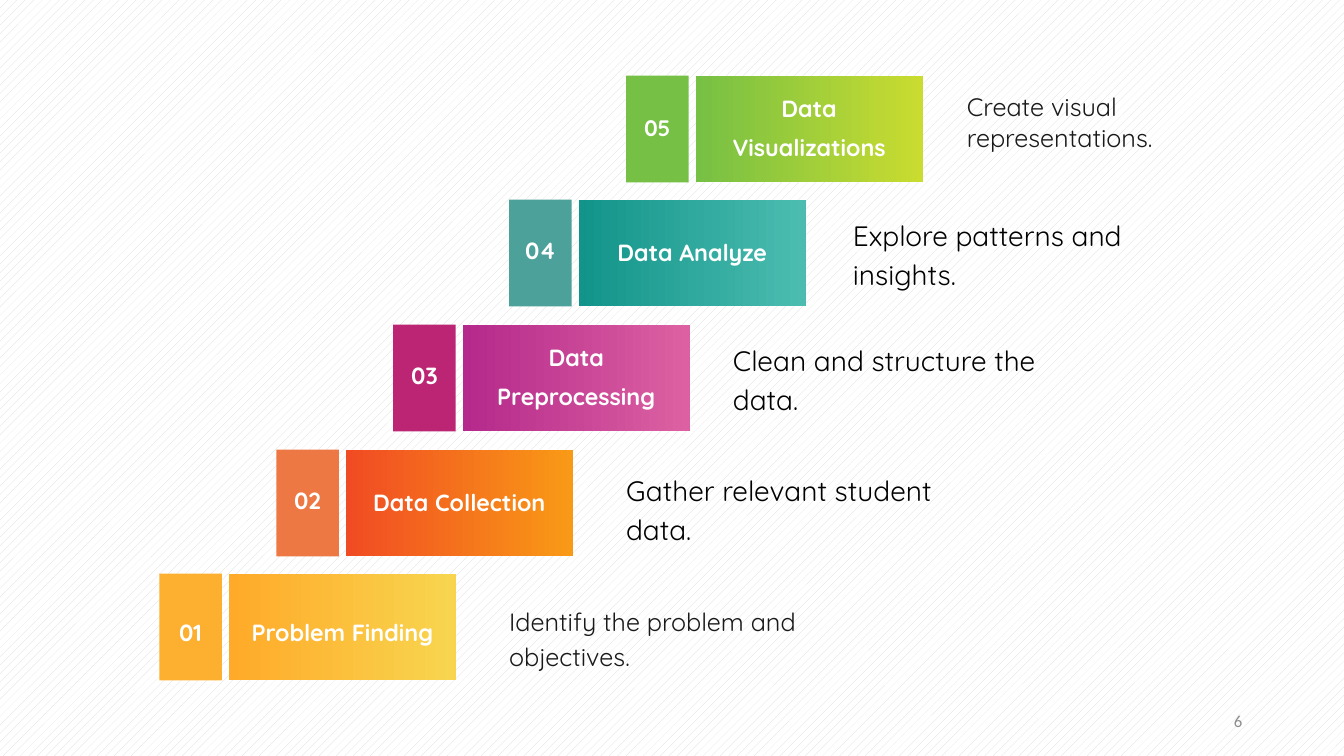
from dataclasses import dataclass

from pptx import Presentation
from pptx.dml.color import RGBColor
from pptx.enum.dml import MSO_PATTERN
from pptx.enum.shapes import MSO_SHAPE
from pptx.enum.text import MSO_ANCHOR, PP_ALIGN
from pptx.shapes.autoshape import Shape
from pptx.slide import Slide
from pptx.util import Emu, Pt

PX = 9144
FONT = "Quicksand"
TAG_W, BAR_W, BAR_H = 62, 225, 106
LEFT, TOP, BAR_DX = 158, 569, 69
STEP_X, STEP_Y = 115.75, 123.5

COLORS = {
    "white": "FFFFFF", "hatch": "D9D9D9", "ink": "191919",
    "black": "000000", "page": "8C8C8C",
    "amber": "FDB02F", "amber from": "FFAA29", "amber to": "F8D54F",
    "orange": "ED7843", "orange from": "F14B23", "orange to": "F99A16",
    "pink": "BC2573", "pink from": "B4298B", "pink to": "DD61A2",
    "teal": "4CA19A", "teal from": "12948A", "teal to": "4CBCB0",
    "green": "76C045", "green from": "76C044", "green to": "CADC30",
}


@dataclass(frozen=True)
class Box:
    x: int
    y: int
    w: int
    h: int

    def emu(self) -> tuple[Emu, Emu, Emu, Emu]:
        return Emu(self.x * PX), Emu(self.y * PX), Emu(self.w * PX), Emu(self.h * PX)


@dataclass(frozen=True)
class Style:
    size: float
    color: str
    font: str = FONT
    bold: bool = False
    align: PP_ALIGN = PP_ALIGN.LEFT
    space: float = 1.0
    anchor: MSO_ANCHOR = MSO_ANCHOR.TOP


@dataclass(frozen=True)
class Step:
    name: str
    hue: str
    note: str
    box: Box
    style: Style
    tag_size: float = 16.7
    bar_lift: int = 13
    tag_lift: int = 16


SMALL = Style(18, "ink", space=1.15)
LARGE = Style(20, "black", space=1.15)

STEPS = [
    Step("Problem Finding", "amber", "Identify the problem and objectives.",
         Box(505, 597, 307, 70), SMALL, bar_lift=0, tag_lift=0),
    Step("Data Collection", "orange", "Gather relevant student data.",
         Box(621, 465, 307, 77), LARGE),
    Step("Data Preprocessing", "pink", "Clean and structure the data.",
         Box(727, 336, 307, 77), LARGE),
    Step("Data Analyze", "teal", "Explore patterns and insights.",
         Box(846, 212, 307, 77), LARGE),
    Step("Data Visualizations", "green", "Create visual representations.",
         Box(959, 91, 307, 61), Style(18, "ink"), tag_size=16, tag_lift=13),
]


def rgb(name: str) -> RGBColor:
    return RGBColor.from_string(COLORS[name])


def write(shape: Shape, text: str, style: Style, side: int = 0, lift: int = 0) -> None:
    frame = shape.text_frame
    frame.word_wrap = True
    frame.vertical_anchor = style.anchor
    frame.margin_left = frame.margin_right = Emu(side * PX)
    frame.margin_top, frame.margin_bottom = Emu(0), Emu(lift * PX)
    line = frame.paragraphs[0]
    line.text = text
    line.alignment = style.align
    line.line_spacing = style.space
    line.font.name = style.font
    line.font.size = Pt(style.size)
    line.font.bold = style.bold
    line.font.color.rgb = rgb(style.color)


def add_text(slide: Slide, box: Box, text: str, style: Style, side: int = 0) -> None:
    write(slide.shapes.add_textbox(*box.emu()), text, style, side)


def add_block(slide: Slide, box: Box, text: str, size: float, hues: list[str],
              side: int, lift: int) -> None:
    shape = slide.shapes.add_shape(MSO_SHAPE.RECTANGLE, *box.emu())
    shape.shadow.inherit = False
    shape.line.fill.background()
    if len(hues) == 1:
        shape.fill.solid()
        shape.fill.fore_color.rgb = rgb(hues[0])
    else:
        shape.fill.gradient()
        shape.fill.gradient_angle = 0
        for stop, hue in zip(shape.fill.gradient_stops, hues):
            stop.color.rgb = rgb(hue)
    style = Style(size, "white", bold=True, align=PP_ALIGN.CENTER,
                  space=1.4, anchor=MSO_ANCHOR.MIDDLE)
    write(shape, text, style, side, lift)


def add_step(slide: Slide, rank: int, step: Step) -> None:
    x, y = round(LEFT + rank * STEP_X), round(TOP - rank * STEP_Y)
    add_block(slide, Box(x + BAR_DX, y, BAR_W, BAR_H), step.name, 16.7,
              [f"{step.hue} from", f"{step.hue} to"], 19, step.bar_lift)
    add_block(slide, Box(x, y, TAG_W, BAR_H), f"{rank + 1:02}", step.tag_size,
              [step.hue], 4, step.tag_lift)
    add_text(slide, step.box, step.note, step.style)


def main() -> None:
    deck = Presentation()
    deck.slide_width, deck.slide_height = Emu(1333 * PX), Emu(750 * PX)
    slide = deck.slides.add_slide(deck.slide_layouts[6])
    back = slide.background.fill
    back.patterned()
    back.pattern = MSO_PATTERN.PERCENT_20
    back.fore_color.rgb = rgb("hatch")
    back.back_color.rgb = rgb("white")
    for rank, step in enumerate(STEPS):
        add_step(slide, rank, step)
    page = Style(12, "page", "Calibri", align=PP_ALIGN.RIGHT, anchor=MSO_ANCHOR.MIDDLE)
    add_text(slide, Box(942, 695, 300, 40), "6", page, side=10)
    deck.save("out.pptx")


if __name__ == "__main__":
    main()
